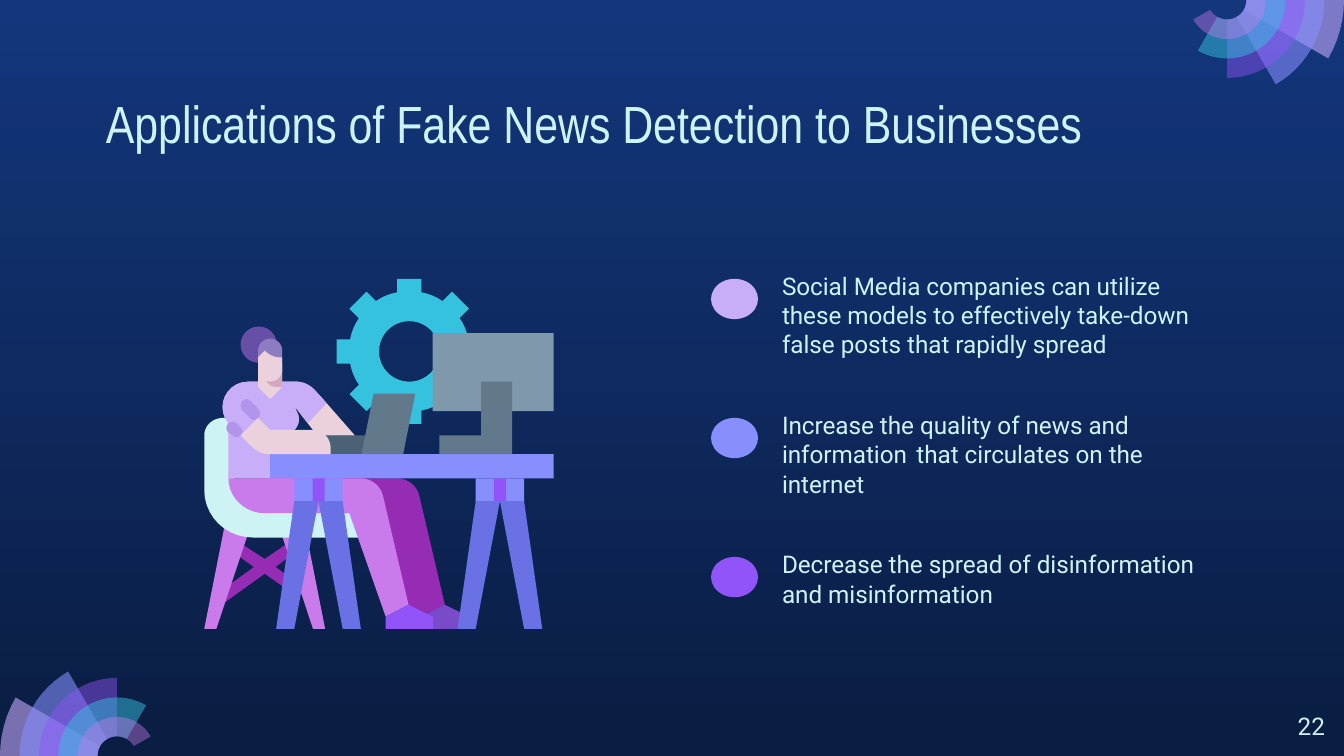
from math import cos, radians, sin

from lxml import etree
from pptx import Presentation
from pptx.dml.color import RGBColor
from pptx.enum.shapes import MSO_SHAPE
from pptx.enum.text import MSO_ANCHOR, MSO_AUTO_SIZE, PP_ALIGN
from pptx.oxml.ns import qn
from pptx.util import Cm, Pt

LEFT, RIGHT = PP_ALIGN.LEFT, PP_ALIGN.RIGHT
TOP = MSO_ANCHOR.TOP
RECTANGLE, OVAL = MSO_SHAPE.RECTANGLE, MSO_SHAPE.OVAL

UNIT = Cm(0.0254)  # drawing grid: 1000 x 562.5 units fill the slide
COLORS = {
    "bg_top": "13367C", "bg_bottom": "0A1D42", "text": "CEF3F5",
    "lavender": "C8ACFD", "lilac": "C8AEF8", "periwinkle": "878FFF",
    "violet": "9154F8", "cyan": "35C2DF", "orchid": "CA7BEB",
    "purple": "972CB4", "far_shoe": "794BC8", "skin": "EAD1DC",
    "skin_shade": "D5A6BD", "stripe": "B394EB", "trestle": "6971E5",
    "laptop": "62798C", "laptop_base": "4B6275", "monitor": "8098AB",
    "bun": "674EA7", "hair": "8E7CC3", "seat": "CEF3F5",
}
FAN_BANDS = [("lavender", 58), ("periwinkle", 58), ("violet", 46), ("cyan", 49), ("orchid", 42)]
POINTS = [  # dot colour, wording, text width
    ("lilac", "Social Media companies can utilize these models to effectively "
     "take-down false posts that rapidly spread", 8.38),
    ("periwinkle", "Increase the quality of news and information\tthat circulates "
     "on the internet", 7.52),
    ("violet", "Decrease the spread of disinformation and misinformation", 8.28),
]

# Outlines in grid units: a pair is a corner, six numbers are a Bezier curve
SLEEVE = [(185, 284), (168, 284, 160, 303, 170, 315), (170, 356), (219, 356), (219, 320),
          (222, 317, 223, 313, 222, 309), (219, 302), (229, 315)]
SHOULDER = [(243, 300), (234, 290), (230, 286, 225, 284, 220, 284)]
CHAIR_AND_BODY = [
    ("purple", [(177, 403), (172, 410), (189, 422), (160, 443), (165, 450), (197, 427),
                (214, 439), (219, 432), (205, 422), (221, 410), (216, 403), (197, 416)]),
    ("orchid", [(206, 387), (233, 468), (242, 468), (226, 387)]),
    ("orchid", [(168, 387), (152, 468), (161, 468), (188, 387)]),
    ("seat", [(166, 311), (158, 311, 152, 317, 152, 324), (152, 365),
              (152, 384, 168, 400, 188, 400), (273, 400), (273, 378), (197, 378),
              (185, 378, 174, 368, 174, 356), (174, 311)]),
    # Far leg and shoe
    ("purple", [(197, 356), (197, 370, 209, 382, 224, 382), (287, 382), (304, 459),
                (313, 459), (331, 450), (312, 369), (310, 361, 303, 356, 295, 356)]),
    ("far_shoe", [(331, 450), (313, 459), (304, 459), (304, 468), (349, 468), (349, 459)]),
    # Far arm and shirt
    ("skin", SLEEVE + [(236, 324), (264, 324)] + SHOULDER),
    ("lilac", SLEEVE + SHOULDER),
]
ARM_AND_LEG = [
    ("stripe", [(173, 314), (172, 314, 171, 314, 170, 315), (168, 317, 168, 320, 170, 322),
                (173, 324), (175, 326, 177, 326, 179, 324), (181, 322, 181, 320, 179, 318),
                (176, 315), (175, 314, 174, 314, 173, 314)]),
    ("stripe", [(184, 297), (182, 297, 181, 298, 180, 299), (179, 300, 179, 303, 180, 305),
                (186, 311), (188, 313, 190, 313, 192, 311), (194, 309, 194, 306, 192, 304),
                (187, 299), (186, 298, 185, 297, 184, 297)]),
    ("skin", [(192, 270), (192, 288), (201, 297), (210, 288), (210, 270)]),
    ("skin", [(192, 311), (179, 324), (187, 332), (191, 336, 195, 338, 200, 338), (246, 338),
              (246, 333), (246, 326, 240, 320, 233, 320), (201, 320)]),
    ("laptop", [(278, 293), (269, 338), (300, 338), (309, 293)]),
    ("orchid", [(170, 356), (170, 370, 182, 382, 197, 382), (260, 382), (287, 459),
                (304, 450), (285, 369), (283, 361, 276, 356, 268, 356)]),
    ("violet", [(304, 450), (287, 459), (287, 468), (322, 468), (322, 459)]),
]
MONITOR_STAND = [(358, 284), (358, 324), (327, 324), (327, 338), (381, 338), (381, 284)]
NECK_SHADE = [(197, 270), (197, 279), (197, 284, 201, 288, 206, 288), (210, 288), (210, 270)]
HAIR = [(201, 252), (196, 252, 192, 256, 192, 261), (192, 270), (210, 270), (210, 261),
        (210, 256, 206, 252, 201, 252)]
FACE = [(197, 261), (192, 266), (192, 275), (192, 280, 196, 284, 201, 284),
        (206, 284, 210, 280, 210, 275), (210, 266), (208, 266), (204, 266, 200, 264, 197, 261)]


def rgb(name):
    return RGBColor.from_string(COLORS[name])


def paint(shape, color, alpha=None):
    shape.shadow.inherit = False
    shape.fill.solid()
    shape.fill.fore_color.rgb = rgb(color)
    shape.line.fill.background()
    if alpha is not None:
        tint = shape._element.spPr.find(qn("a:solidFill"))[0]
        etree.SubElement(tint, qn("a:alpha"), val=str(alpha * 1000))


def preset(shapes, kind, color, left, top, width, height):
    shape = shapes.add_shape(kind, *(round(v * UNIT) for v in (left, top, width, height)))
    paint(shape, color)


def arc(center, radius, start, end, step=5):
    """Points on a circle, angles in degrees, clockwise on the slide."""
    return [(center[0] + radius * cos(radians(a)), center[1] + radius * sin(radians(a)))
            for a in range(start, end + (1 if step > 0 else -1), step)]


def flatten(outline, steps=10):
    points = []
    for node in outline:
        if len(node) == 2:
            points.append(node)
            continue
        curve = [points[-1], node[:2], node[2:4], node[4:]]
        for t in (i / steps for i in range(1, steps + 1)):
            weights = ((1 - t) ** 3, 3 * t * (1 - t) ** 2, 3 * t * t * (1 - t), t ** 3)
            points.append(tuple(sum(w * p[axis] for w, p in zip(weights, curve))
                                for axis in (0, 1)))
    return points


def draw(shapes, color, *outlines, alpha=None):
    contours = [[(x * UNIT, y * UNIT) for x, y in flatten(o)] for o in outlines]
    builder = shapes.build_freeform(*contours[0][0], scale=1.0)
    for number, contour in enumerate(contours):
        if number:
            builder.move_to(*contour[0])
        builder.add_line_segments(contour[1:], close=True)
    paint(builder.convert_to_shape(), color, alpha)


def write(shape, text, size=13, font="Roboto", align=LEFT, anchor=TOP):
    frame = shape.text_frame
    frame.word_wrap = True
    frame.auto_size = MSO_AUTO_SIZE.NONE
    frame.vertical_anchor = anchor
    frame.margin_left = frame.margin_right = frame.margin_top = frame.margin_bottom = Cm(0.25)
    paragraph = frame.paragraphs[0]
    paragraph.alignment = align
    run = paragraph.add_run()
    run.text = text
    run.font.size = Pt(size)
    run.font.name = font
    run.font.color.rgb = rgb("text")


def corner_fan(slide, center, start):
    shapes = slide.shapes.add_group_shape().shapes
    for i, (color, alpha) in enumerate(FAN_BANDS):
        end = start + 30 * (i + 1)
        band = arc(center, 14.5 * (6 - i), start, end) + arc(center, 14.5, end, start, -5)
        draw(shapes, color, band, alpha=alpha)


def gear(shapes, center=(304.5, 261.5)):
    rim = []
    for angle in range(0, 360, 45):
        c, s = cos(radians(angle)), sin(radians(angle))
        for along, across in ((44, -9), (54, -9), (54, 9), (44, 9)):
            rim.append((center[0] + along * c - across * s, center[1] + along * s + across * c))
        rim += arc(center, 45, angle + 17, angle + 28)
    draw(shapes, "cyan", arc(center, 22.5, 360, 0, -5), rim)


def trestle(shapes, left):
    preset(shapes, RECTANGLE, "periwinkle", left, 356, 36, 17.5)
    preset(shapes, RECTANGLE, "violet", left + 13.5, 356, 9, 17.5)
    middle = left + 18
    for side in (-1, 1):
        draw(shapes, "trestle", [(middle + side * dx, y) for dx, y in
                                 ((18, 373), (31.5, 468), (18, 468), (0, 373))])


def desk_scene(slide):
    shapes = slide.shapes.add_group_shape().shapes
    gear(shapes)
    preset(shapes, RECTANGLE, "laptop_base", 242, 324, 31, 14)
    for color, outline in CHAIR_AND_BODY:
        draw(shapes, color, outline)
    preset(shapes, RECTANGLE, "periwinkle", 201, 338, 211, 18)  # table top
    for color, outline in ARM_AND_LEG:
        draw(shapes, color, outline)
    preset(shapes, RECTANGLE, "monitor", 322, 248, 90, 58)
    draw(shapes, "laptop", MONITOR_STAND)
    for left in (354, 219):
        trestle(shapes, left)
    # Head
    draw(shapes, "skin_shade", NECK_SHADE)
    preset(shapes, OVAL, "bun", 179, 243, 27, 27)
    draw(shapes, "hair", HAIR)
    draw(shapes, "skin", FACE)


def main():
    prs = Presentation()
    prs.slide_width, prs.slide_height = Cm(25.4), Cm(14.29)
    slide = prs.slides.add_slide(prs.slide_layouts[5])

    # Background
    fill = slide.background.fill
    fill.gradient()
    fill.gradient_angle = 270
    for stop, color in zip(fill.gradient_stops, ("bg_top", "bg_bottom")):
        stop.color.rgb = rgb(color)
    corner_fan(slide, center=(87, 562.5), start=180)
    corner_fan(slide, center=(913, 0), start=0)

    # Title and page number
    title = slide.shapes.title
    title.left, title.top, title.width, title.height = Cm(1.75), Cm(1.47), Cm(21.41), Cm(1.6)
    write(title, "Applications of Fake News Detection to Businesses",
          size=28, font="Arial Narrow")
    page_number = slide.shapes.add_textbox(Cm(23.77), Cm(13.18), Cm(1.52), Cm(1.09))
    write(page_number, "22", align=RIGHT, anchor=MSO_ANCHOR.MIDDLE)

    # Points with their dots
    for i, (color, wording, width) in enumerate(POINTS):
        point = slide.shapes.add_textbox(Cm(14.53), Cm(4.88 + 2.63 * i), Cm(width), Cm(1.57))
        write(point, wording)
        preset(slide.shapes, OVAL, color, 529, 207.5 + 103.5 * i, 35, 30)

    desk_scene(slide)
    prs.save("out.pptx")


if __name__ == "__main__":
    main()
